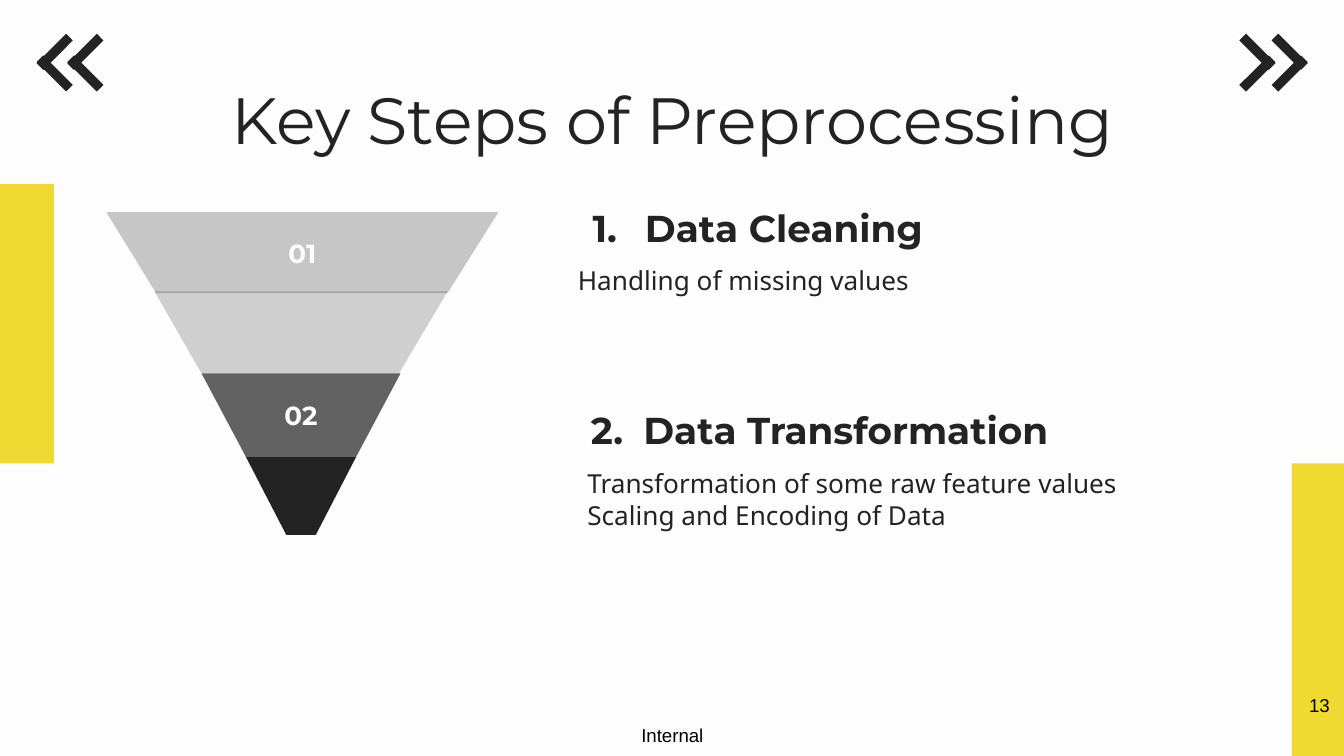
from lxml import etree
from pptx import Presentation
from pptx import util as u
from pptx.dml.color import RGBColor
from pptx.enum import shapes, text
from pptx.oxml.ns import qn

COLORS = {"paper": "FDFDFD", "ink": "232323", "yellow": "F0D931",
          "silver": "A6A6A6", "gray": "393939", "black": "000000"}
HEAD_FONT, BODY_FONT, FOOT_FONT = "Montserrat", "Noto Sans", "Arial"
INSET = 0.25


def rgb(name):
    return RGBColor.from_string(COLORS[name])


def box_of(*lengths):
    return [u.Cm(length) for length in lengths]


def paint(shape, color, opacity=100):
    shape.shadow.inherit = False
    shape.line.fill.background()
    shape.fill.solid()
    shape.fill.fore_color.rgb = rgb(color)
    if opacity < 100:
        fill_color = shape.fill._xPr.find(qn("a:solidFill"))[0]
        etree.SubElement(fill_color, qn("a:alpha"), val=str(opacity * 1000))


def number_paragraph(paragraph, start, color, font):
    properties = paragraph._p.get_or_add_pPr()
    properties.set("marL", str(u.Cm(1.27)))
    properties.set("indent", str(u.Cm(-0.99)))
    bullet_color = etree.SubElement(properties, qn("a:buClr"))
    etree.SubElement(bullet_color, qn("a:srgbClr"), val=COLORS[color])
    etree.SubElement(properties, qn("a:buFont"), typeface=font)
    etree.SubElement(properties, qn("a:buAutoNum"), type="arabicPeriod",
                     startAt=str(start))


def write(shape, content, size=14, font=HEAD_FONT, color="ink", bold=False,
          align=text.PP_ALIGN.LEFT, anchor=text.MSO_ANCHOR.TOP,
          insets=(INSET, INSET), wrap=True, number=None):
    frame = shape.text_frame
    frame.word_wrap = wrap
    frame.auto_size = text.MSO_AUTO_SIZE.NONE
    frame.vertical_anchor = anchor
    frame.margin_left = frame.margin_right = u.Cm(insets[0])
    frame.margin_top = frame.margin_bottom = u.Cm(insets[1])
    frame.text = content
    for paragraph in frame.paragraphs:
        if number:
            number_paragraph(paragraph, number, color, font)
        paragraph.alignment = align
        paragraph.font.size = u.Pt(size)
        paragraph.font.name = font
        paragraph.font.bold = bold
        paragraph.font.color.rgb = rgb(color)


def add_text(slide, box, content, **style):
    write(slide.shapes.add_textbox(*box_of(*box)), content, **style)


def add_bar(slide, box, color, rotation=0):
    bar = slide.shapes.add_shape(shapes.MSO_SHAPE.RECTANGLE, *box_of(*box))
    bar.rotation = rotation
    paint(bar, color)


def add_chevron(slide, left, tilt):
    add_bar(slide, (left, 1.3, 0.79, 0.18), "ink", -tilt % 360)
    add_bar(slide, (left, 0.89, 0.79, 0.18), "ink", tilt % 360)


def add_funnel_layer(slide, top, bottom, upper, lower, color, opacity, label):
    points = [(upper[0], top), (lower[0], bottom),
              (lower[1], bottom), (upper[1], top)]
    corners = [tuple(box_of(*point)) for point in points]
    builder = slide.shapes.build_freeform(*corners[0])
    builder.add_line_segments(corners[1:], close=True)
    layer = builder.convert_to_shape()
    paint(layer, color, opacity)
    if label:
        write(layer, label, color="paper", bold=True,
              align=text.PP_ALIGN.CENTER, anchor=text.MSO_ANCHOR.MIDDLE)


def add_step(slide, number, heading, heading_at, body, body_at):
    add_text(slide, (*heading_at, 12.78, 0.97), heading, size=20, bold=True,
             anchor=text.MSO_ANCHOR.BOTTOM, number=number)
    add_text(slide, (*body_at, 12.75, 0.97), body, font=BODY_FONT)


def main():
    presentation = Presentation()
    presentation.slide_width, presentation.slide_height = box_of(25.4, 14.29)
    slide = presentation.slides.add_slide(presentation.slide_layouts[5])
    slide.background.fill.solid()
    slide.background.fill.fore_color.rgb = rgb("paper")

    # Corner chevrons and side panels
    for left, tilt in ((23.37, 45), (23.98, 45), (1.22, -45), (0.64, -45)):
        add_chevron(slide, left, tilt)
    add_bar(slide, (24.41, 8.76, 2.01, 5.53), "yellow")
    add_bar(slide, (-0.99, 3.48, 2.01, 5.28), "yellow")

    # Title
    title = slide.shapes.title
    title.left, title.top, title.width, title.height = box_of(
        2.01, 1.24, 21.41, 1.6)
    write(title, "Key Steps of Preprocessing", size=35,
          align=text.PP_ALIGN.CENTER)

    # Funnel: top, bottom, upper edge, lower edge, colour, opacity, label
    for layer in (
        (5.51, 7.06, (2.92, 8.46), (3.81, 7.54), "silver", 52, None),
        (7.06, 8.64, (3.81, 7.57), (4.65, 6.73), "gray", 79, "02"),
        (8.64, 10.11, (4.65, 6.73), (5.41, 5.97), "ink", 100, None),
        (4.01, 5.54, (2.01, 9.42), (2.95, 8.46), "ink", 25, "01"),
    ):
        add_funnel_layer(slide, *layer)

    # Steps
    add_step(slide, 1, "Data Cleaning", (10.67, 4.01),
             "Handling of missing values", (10.67, 4.75))
    add_step(slide, 2, "Data Transformation", (10.64, 7.82),
             "Transformation of some raw feature values\n"
             "Scaling and Encoding of Data", (10.85, 8.59))

    # Footer and page number
    footer = dict(size=10, font=FOOT_FONT, color="black", wrap=False)
    add_text(slide, (12.12, 13.69, 1.27, 0.43), "Internal", insets=(0, 0),
             **footer)
    add_text(slide, (24.49, 12.98, 0.91, 0.69), "13", insets=(0.25, 0.13),
             **footer)

    presentation.save("out.pptx")


if __name__ == "__main__":
    main()
